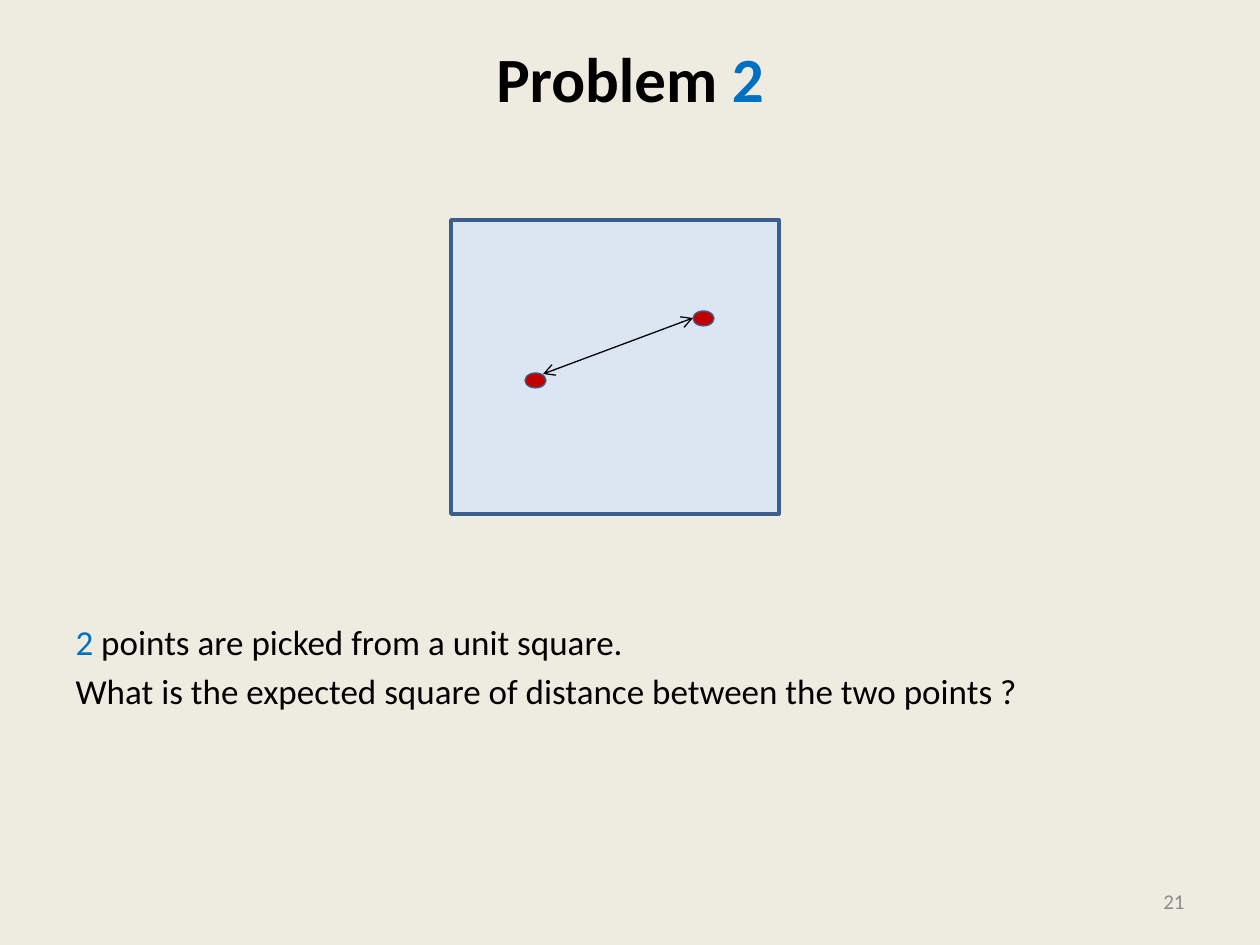
from lxml import etree
from pptx import Presentation
from pptx.dml.color import RGBColor
from pptx.enum import shapes, text
from pptx.oxml import ns
from pptx.util import Emu, Pt

PX = 914400 / 126
BACKGROUND = RGBColor(0xEE, 0xEC, 0xE1)
BLACK = RGBColor(0x00, 0x00, 0x00)
BLUE = RGBColor(0x00, 0x70, 0xC0)
GREY = RGBColor(0x8C, 0x8C, 0x8C)
PALE_BLUE = RGBColor(0xDC, 0xE6, 0xF2)
OUTLINE = RGBColor(0x3A, 0x5F, 0x8C)
RED = RGBColor(0xC0, 0x00, 0x00)


def px(n):
    return Emu(round(n * PX))


def add_run(p, words, size=20, color=BLACK, bold=False, font="Calibri"):
    r = p.add_run()
    r.text = words
    r.font.name, r.font.size, r.font.bold = font, Pt(size), bold
    r.font.color.rgb = color


class SlideBuilder:
    """Holds the style and the current slide, and draws each kind of element."""

    def __init__(self, prs, background):
        self.s = prs.slides.add_slide(prs.slide_layouts[1])
        self.s.background.fill.solid()
        self.s.background.fill.fore_color.rgb = background

    def fill_text(self, sp, box, paragraphs, anchor, align, inset=6, gap=0, **style):
        sp.left, sp.top, sp.width, sp.height = map(px, box)
        tf = sp.text_frame
        tf.word_wrap, tf.auto_size = True, text.MSO_AUTO_SIZE.NONE
        tf.vertical_anchor, tf.margin_top = anchor, px(inset)
        for i, runs in enumerate(paragraphs):
            p = tf.add_paragraph() if i else tf.paragraphs[0]
            p.alignment, p.space_before = align, Pt(gap if i else 0)
            for words, color in runs:
                add_run(p, words, color=color, **style)
        return tf

    def title(self, box, runs):
        self.fill_text(self.s.shapes.title, box, [runs], text.MSO_ANCHOR.TOP,
                       text.PP_ALIGN.CENTER, inset=2, size=36, bold=True)

    def body(self, box, paragraphs, inset):
        tf = self.fill_text(self.s.placeholders[1], box, paragraphs, text.MSO_ANCHOR.TOP,
                            text.PP_ALIGN.LEFT, inset=inset, gap=4)
        for p in tf.paragraphs:
            pPr = p._p.get_or_add_pPr()
            pPr.set("marL", "0")
            pPr.set("indent", "0")
            etree.SubElement(pPr, ns.qn("a:buNone"))

    def number(self, box, words):
        sp = self.s.shapes.add_textbox(0, 0, 0, 0)
        self.fill_text(sp, box, [[(words, GREY)]], text.MSO_ANCHOR.MIDDLE,
                       text.PP_ALIGN.RIGHT, size=12)

    def shape(self, kind, box, fill, width):
        sp = self.s.shapes.add_shape(kind, *map(px, box))
        sp.shadow.inherit = False
        sp.fill.solid()
        sp.fill.fore_color.rgb = fill
        sp.line.color.rgb, sp.line.width = OUTLINE, Pt(width)

    def double_arrow(self, x1, y1, x2, y2):
        sp = self.s.shapes.add_connector(
            shapes.MSO_CONNECTOR.STRAIGHT, *map(px, (x1, y1, x2, y2)))
        sp.line.color.rgb, sp.line.width = BLACK, Pt(0.75)
        for end in ("a:headEnd", "a:tailEnd"):
            etree.SubElement(sp.line._get_or_add_ln(), ns.qn(end), type="arrow")
        etree.SubElement(sp._element.spPr, ns.qn("a:effectLst"))


def main():
    prs = Presentation()
    prs.slide_width, prs.slide_height = px(1260), px(945)
    slide = SlideBuilder(prs, BACKGROUND)
    slide.title((63, 38, 1134, 157), [("Problem ", BLACK), ("2", BLUE)])
    slide.body((63, 220, 1134, 624), [
        [("2", BLUE), (" points are picked from a unit square.", BLACK)],
        [("What is the expected square of distance between the two points ?", BLACK)],
    ], inset=400)
    slide.number((903, 876, 294, 50), "21")
    slide.shape(shapes.MSO_SHAPE.RECTANGLE, (451, 220, 328, 294), PALE_BLUE, 2)
    for x, y in ((693, 311), (525, 373)):
        slide.shape(shapes.MSO_SHAPE.OVAL, (x, y, 21, 15), RED, 0.75)
    slide.double_arrow(543, 374, 693, 318)
    prs.save("out.pptx")


if __name__ == "__main__":
    main()
